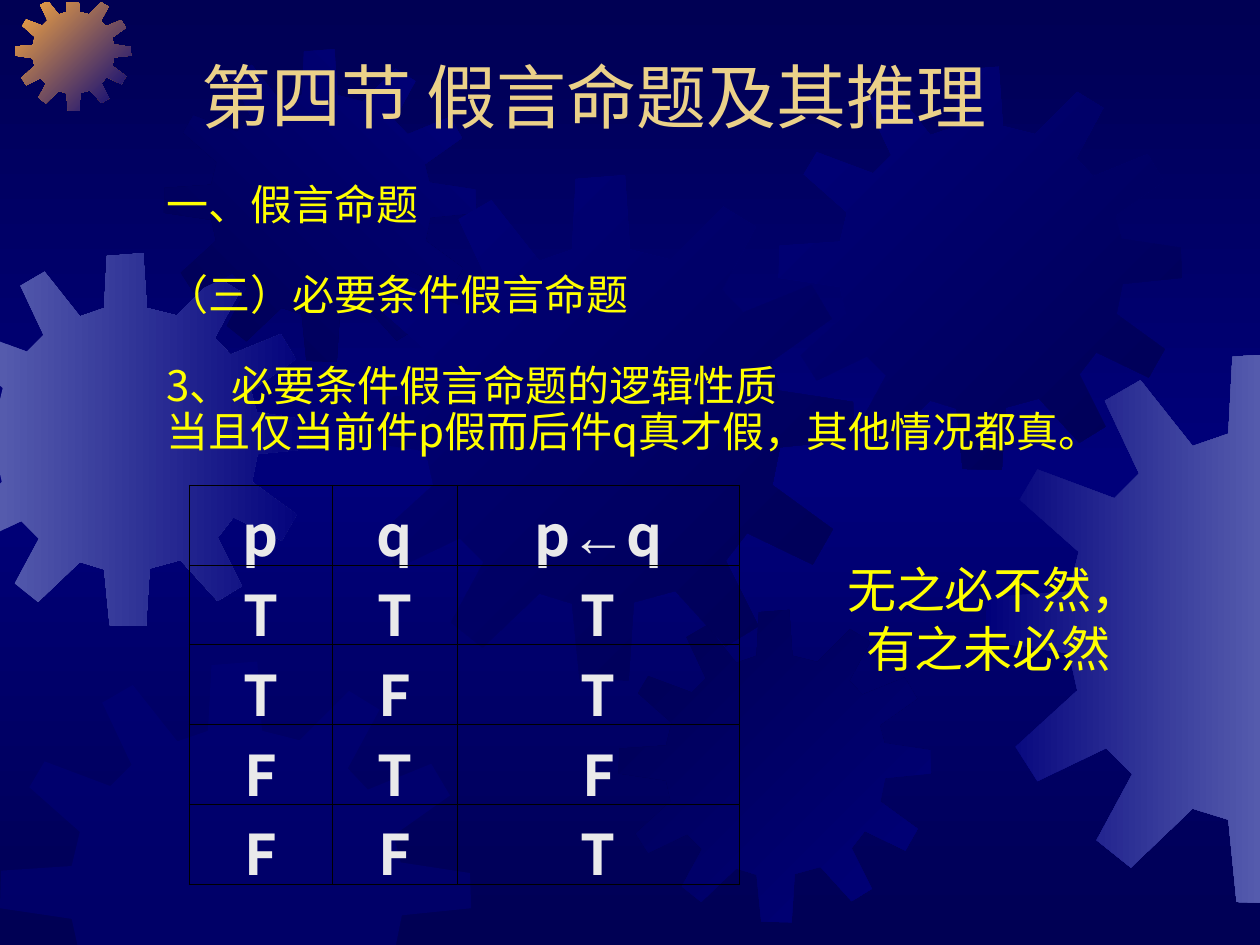
"""Build a slide on necessary conditional propositions with a truth table over a gear background."""
import copy

import pptx
import pptx.dml.color
import pptx.enum.dml
import pptx.enum.text
import pptx.oxml
import pptx.oxml.ns
import pptx.util

Inches = pptx.util.Inches
Pt = pptx.util.Pt
ALIGN = pptx.enum.text.PP_ALIGN
ANCHOR = pptx.enum.text.MSO_ANCHOR

WIDTH, HEIGHT = 10, 7.5
FONT = "Noto Sans CJK SC"
NAVY, BLUE, LAVENDER, ORANGE = "000054", "00007A", "555BAD", "FCAB40"
YELLOW, GOLD, PALE, BLACK = "FFFF00", "EBD189", "EAEAEA", "000000"

GEAR_SIZE = 4.01
GEAR_OUTLINE = [
    (2.55, 0.67), (2.23, 0.59), (2.19, 0), (1.8, 0.03), (1.77, 0.59), (1.51, 0.68),
    (1.13, 0.2), (0.87, 0.35), (1.12, 0.88), (0.94, 1.06), (0.38, 0.85), (0.25, 1.07),
    (0.68, 1.45), (0.61, 1.74), (0.01, 1.78), (0, 2.1), (0.61, 2.19), (0.67, 2.46),
    (0.22, 2.87), (0.38, 3.12), (0.88, 2.88), (1.07, 3.07), (0.81, 3.55), (1.06, 3.75),
    (1.51, 3.32), (1.77, 3.4), (1.83, 4), (2.22, 4.01), (2.26, 3.39), (2.59, 3.3),
    (2.99, 3.74), (3.25, 3.58), (2.99, 3.06), (3.16, 2.84), (3.68, 3.09), (3.84, 2.81),
    (3.36, 2.46), (3.42, 2.16), (4.01, 2.1), (4, 1.8), (3.41, 1.71), (3.35, 1.48),
    (3.83, 1.14), (3.67, 0.87), (3.13, 1.09), (2.96, 0.91), (3.23, 0.41), (2.97, 0.25),
]
GEARS = [
    {"left": -0.48, "top": 2.01, "size": 2.96, "colors": (LAVENDER, BLUE), "angle": 0},
    {"left": 0.12, "top": -0.04, "size": 0.92, "colors": (ORANGE, BLUE), "angle": 45},
    {"left": 1.3, "top": 0.39, "size": 2.48, "colors": (NAVY, BLUE), "angle": 315},
    {"left": 2.77, "top": 1.39, "size": 4.01, "colors": (BLUE, NAVY), "angle": 45},
    {"left": 0, "top": 5.25, "size": 3.74, "colors": (BLUE,), "alpha": 50},
    {"left": 4.91, "top": 4.84, "size": 2.48, "colors": (NAVY, BLUE), "angle": 45},
    {"left": 6.18, "top": 0.53, "size": 3.2, "colors": (BLUE, NAVY), "angle": 45},
    {"left": 7.82, "top": 2.8, "size": 4.37, "colors": (BLUE, LAVENDER), "angle": 0},
]

TITLE = "第四节 假言命题及其推理"
MAXIM = " 无之必不然，有之未必然"
BODY = [
    ("一、假言命题", 0),
    ("（三）必要条件假言命题", 26),
    ("3、必要条件假言命题的逻辑性质", 26),
    ("当且仅当前件p假而后件q真才假，其他情况都真。", 0),
]
TRUTH_TABLE = [
    ("p", "q", "p←q"),
    ("T", "T", "T"),
    ("T", "F", "T"),
    ("F", "T", "F"),
    ("F", "F", "T"),
]
COLUMN_WIDTHS = [1.14, 0.99, 2.24]
ROW_HEIGHT = 0.53


def rgb(color):
    return pptx.dml.color.RGBColor.from_string(color)


def set_gradient(fill, colors, angle):
    fill.gradient()
    fill.gradient_angle = -angle % 360
    for position, (stop, color) in enumerate(zip(fill.gradient_stops, colors)):
        stop.position = position
        stop.color.rgb = rgb(color)


def clip(points, axis, limit, sign):
    kept = []
    for start, end in zip(points, points[1:] + points[:1]):
        start_inside = sign * (start[axis] - limit) >= 0
        end_inside = sign * (end[axis] - limit) >= 0
        if start_inside:
            kept.append(start)
        if start_inside != end_inside:
            ratio = (limit - start[axis]) / (end[axis] - start[axis])
            kept.append(tuple(a + ratio * (b - a) for a, b in zip(start, end)))
    return kept


def add_gear(slide, left, top, size, colors, angle=0, alpha=None):
    scale = size / GEAR_SIZE
    points = [(left + x * scale, top + y * scale) for x, y in GEAR_OUTLINE]
    for axis, limit, sign in ((0, 0, 1), (1, 0.02, 1), (0, WIDTH, -1), (1, HEIGHT, -1)):
        points = clip(points, axis, limit, sign)
    points = [(Inches(x), Inches(y)) for x, y in points]
    builder = slide.shapes.build_freeform(*points[0])
    builder.add_line_segments(points[1:], close=True)
    shape = builder.convert_to_shape()
    shape.shadow.inherit = False
    shape.line.fill.background()
    if len(colors) == 2:
        set_gradient(shape.fill, colors, angle)
    else:
        shape.fill.solid()
        shape.fill.fore_color.rgb = rgb(colors[0])
        color = shape.element.spPr.find(".//" + pptx.oxml.ns.qn("a:srgbClr"))
        color.append(pptx.oxml.parse_xml(
            f'<a:alpha {pptx.oxml.ns.nsdecls("a")} val="{alpha * 1000}"/>'))


def add_run(paragraph, text, size, color, font=FONT, bold=False):
    run = paragraph.add_run()
    run.text = text
    run.font.size = Pt(size)
    run.font.bold = bold
    run.font.color.rgb = rgb(color)
    run.font.name = font
    run.font._element.find(pptx.oxml.ns.qn("a:latin")).addnext(pptx.oxml.parse_xml(
        f'<a:ea {pptx.oxml.ns.nsdecls("a")} typeface="{font}"/>'))


def add_text(slide, box, lines, size, color, align, anchor=ANCHOR.TOP, spacing=1):
    frame = slide.shapes.add_textbox(*map(Inches, box)).text_frame
    frame.word_wrap = True
    frame.vertical_anchor = anchor
    for index, (text, space_before) in enumerate(lines):
        paragraph = frame.add_paragraph() if index else frame.paragraphs[0]
        paragraph.alignment = align
        paragraph.line_spacing = float(spacing)
        paragraph.space_before = Pt(space_before)
        add_run(paragraph, text, size, color)


def set_borders(cell):
    properties = cell._tc.get_or_add_tcPr()
    for index, side in enumerate(("lnL", "lnR", "lnT", "lnB")):
        properties.insert(index, pptx.oxml.parse_xml(
            f'<a:{side} {pptx.oxml.ns.nsdecls("a")} w="{Pt(0.45)}"><a:solidFill>'
            f'<a:srgbClr val="{BLACK}"/></a:solidFill></a:{side}>'))


def add_truth_table(slide):
    rows, columns = len(TRUTH_TABLE), len(COLUMN_WIDTHS)
    table = slide.shapes.add_table(
        rows, columns, Inches(1.5), Inches(3.85),
        Inches(sum(COLUMN_WIDTHS)), Inches(rows * ROW_HEIGHT)).table
    table.first_row = table.horz_banding = False
    for column, width in zip(table.columns, COLUMN_WIDTHS):
        column.width = Inches(width)
    for row, values in zip(table.rows, TRUTH_TABLE):
        row.height = Inches(ROW_HEIGHT)
        for cell, value in zip(row.cells, values):
            cell.fill.background()
            cell.margin_left = cell.margin_right = Inches(0.07)
            set_borders(cell)
            paragraph = cell.text_frame.paragraphs[0]
            paragraph.alignment = ALIGN.CENTER
            for symbol in value:
                font = "Arial" if symbol == "←" else FONT
                add_run(paragraph, symbol, 32, PALE, font, bold=True)


def set_background(slide):
    set_gradient(slide.background.fill, (NAVY, BLUE), 90)
    stops = slide.element.find(".//" + pptx.oxml.ns.qn("a:gsLst"))
    stops.append(copy.deepcopy(stops[0]))
    for stop, position in zip(slide.background.fill.gradient_stops, (0, 0.5, 1)):
        stop.position = position


def main():
    presentation = pptx.Presentation()
    presentation.slide_width, presentation.slide_height = Inches(WIDTH), Inches(HEIGHT)
    slide = presentation.slides.add_slide(presentation.slide_layouts[6])
    set_background(slide)
    for gear in GEARS:
        add_gear(slide, **gear)
    add_text(slide, (6.48, 4.39, 2.73, 1.04), [(MAXIM, 0)], 28, YELLOW, ALIGN.CENTER)
    add_text(slide, (1.22, 1.41, 7.72, 2.62), BODY, 24, YELLOW, ALIGN.JUSTIFY, spacing=0.9)
    add_text(slide, (1.5, 0.39, 8.5, 0.75), [(TITLE, 0)], 40, GOLD, ALIGN.LEFT, ANCHOR.BOTTOM)
    add_truth_table(slide)
    presentation.save("out.pptx")


if __name__ == "__main__":
    main()
